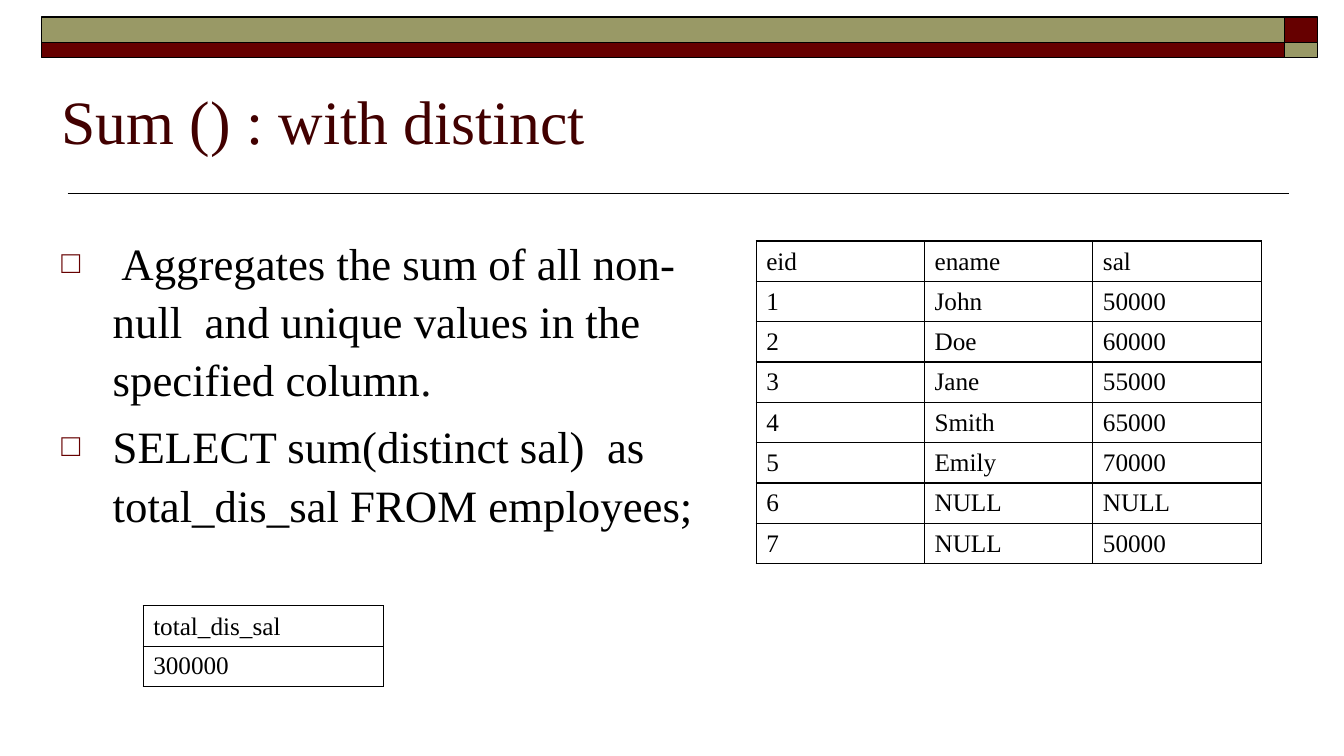
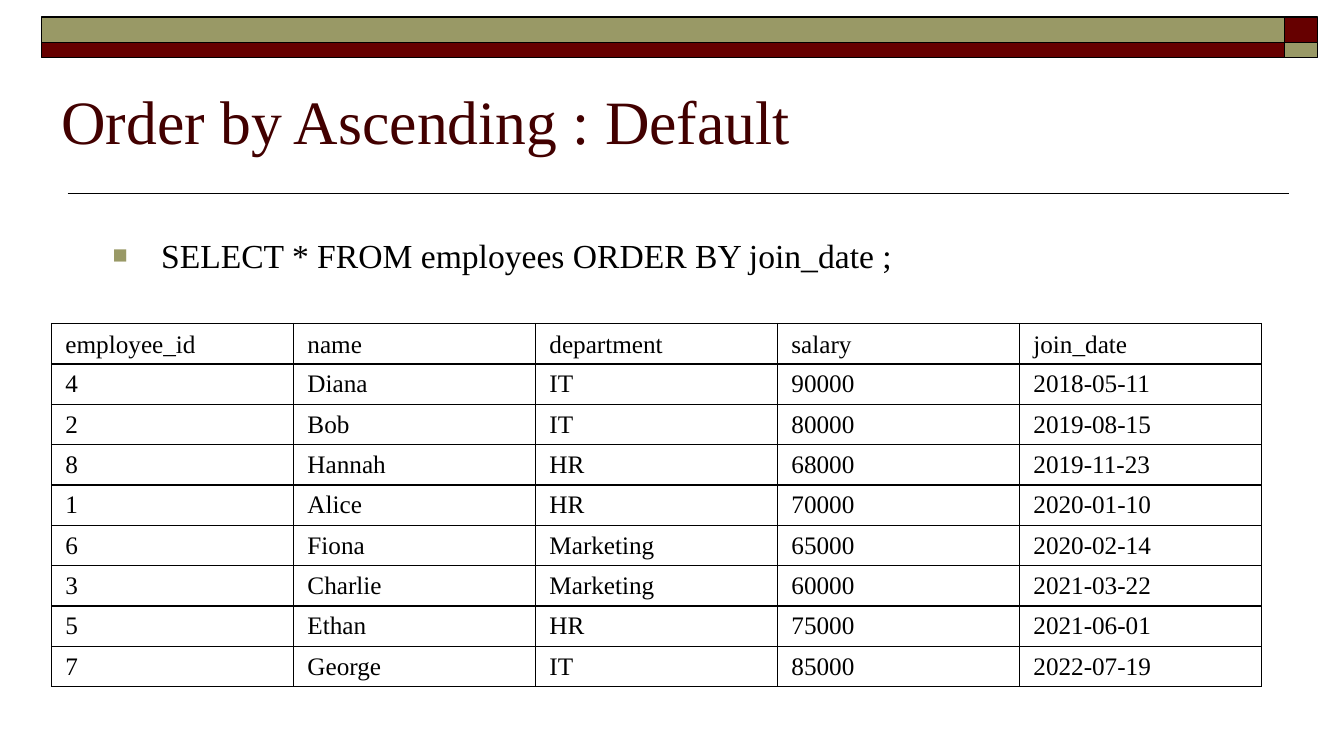
import pptx
import pptx.dml.color
import pptx.enum.shapes
import pptx.enum.text
import pptx.oxml
import pptx.oxml.ns
import pptx.util

Inches = pptx.util.Inches
Pt = pptx.util.Pt
ANCHOR = pptx.enum.text.MSO_ANCHOR
NAMESPACE = pptx.oxml.ns.nsdecls("a")


def color(hex_value):
    return pptx.dml.color.RGBColor.from_string(hex_value)


def element(xml):
    """Parse one drawing element whose tag lacks the namespace declaration."""
    tag, rest = xml[1:].split(" ", 1)
    return pptx.oxml.parse_xml(f"<{tag} {NAMESPACE} {rest}")


def write(paragraph, text, size=18, ink="000000", font="Times New Roman"):
    run = paragraph.add_run()
    run.text = text
    run.font.name = font
    run.font.size = Pt(size)
    run.font.color.rgb = color(ink)


class Deck:
    OLIVE, MAROON, TITLE, BLACK = "999966", "660000", "420000", "000000"
    LEFT, WIDTH = 0.51, 12
    ROW_HEIGHT = 0.37
    # Bullet levels: sign, colour, size in percent, text indent, hanging, points
    LEVELS = [("□", MAROON, 70, 0.51, 0.51, 32),
              ("■", OLIVE, 75, 0.99, 0.48, 24)]

    def __init__(self):
        self.prs = pptx.Presentation()
        self.prs.slide_width = Inches(13.33)
        self.prs.slide_height = Inches(7.5)
        self.slide = None

    def start_slide(self, title):
        self.slide = self.prs.slides.add_slide(self.prs.slide_layouts[6])
        self.rule(0.67, 12.78, 1.92)
        # Two-row band, with the colours swapped in the right corner
        for top, height, main, corner in ((0.17, 0.25, self.OLIVE, self.MAROON),
                                          (0.42, 0.15, self.MAROON, self.OLIVE)):
            self.block(0.41, top, 12.33, height, main)
            self.block(12.74, top, 0.33, height, corner)
        frame = self.text_frame(0.35, self.WIDTH, 1.25, ANCHOR.BOTTOM)
        write(frame.paragraphs[0], title, size=44, ink=self.TITLE)

    def rule(self, left, right, y):
        line = self.slide.shapes.add_connector(
            pptx.enum.shapes.MSO_CONNECTOR.STRAIGHT,
            Inches(left), Inches(y), Inches(right), Inches(y))
        line.line.color.rgb = color(self.BLACK)
        line.line.width = Pt(1)
        line._element.spPr.append(element("<a:effectLst />"))

    def block(self, left, top, width, height, fill):
        block = self.slide.shapes.add_shape(
            pptx.enum.shapes.MSO_SHAPE.RECTANGLE,
            Inches(left), Inches(top), Inches(width), Inches(height))
        block.shadow.inherit = False
        block.fill.solid()
        block.fill.fore_color.rgb = color(fill)
        block.line.color.rgb = color(self.BLACK)
        block.line.width = Pt(1)

    def text_frame(self, top, width, height, anchor=ANCHOR.TOP):
        frame = self.slide.shapes.add_textbox(
            Inches(self.LEFT), Inches(top), Inches(width), Inches(height)).text_frame
        frame.word_wrap = True
        frame.vertical_anchor = anchor
        return frame

    def bullets(self, items, width, level=0):
        """Each item is a list of (text, colour) runs."""
        sign, sign_ink, percent, indent, hanging, size = self.LEVELS[level]
        frame = self.text_frame(2.25, width, 4.57)
        for index, runs in enumerate(items):
            paragraph = frame.add_paragraph() if index else frame.paragraphs[0]
            props = paragraph._p.get_or_add_pPr()
            props.set("marL", str(Inches(indent)))
            props.set("indent", str(-Inches(hanging)))
            for xml in (f'<a:buClr ><a:srgbClr val="{sign_ink}"/></a:buClr>',
                        f'<a:buSzPct val="{percent * 1000}"/>',
                        '<a:buFont typeface="Times New Roman"/>',
                        f'<a:buChar char="{sign}"/>'):
                props.append(element(xml))
            paragraph.line_spacing = 1.08
            if index:
                paragraph.space_before = Pt(size * 0.2)
            for text, ink in runs:
                write(paragraph, text, size=size, ink=ink)

    def table(self, left, top, width, rows, side_margin=0.1):
        count = len(rows[0])
        table = self.slide.shapes.add_table(
            len(rows), count, Inches(left), Inches(top), Inches(width),
            Inches(self.ROW_HEIGHT * len(rows))).table
        table.first_row = table.horz_banding = False
        for column in table.columns:
            column.width = Inches(width / count)
        for row_index, values in enumerate(rows):
            table.rows[row_index].height = Inches(self.ROW_HEIGHT)
            for column_index, value in enumerate(values):
                cell = table.cell(row_index, column_index)
                cell.margin_left = cell.margin_right = Inches(side_margin)
                cell.vertical_anchor = ANCHOR.MIDDLE if row_index else ANCHOR.BOTTOM
                cell.fill.background()
                self.cell_borders(cell)
                write(cell.text_frame.paragraphs[0], value)

    def cell_borders(self, cell):
        props = cell._tc.get_or_add_tcPr()
        for index, side in enumerate("LRTB"):
            props.insert(index, element(
                f'<a:ln{side} w="{Pt(1)}"><a:solidFill><a:srgbClr val="{self.BLACK}"/>'
                f'</a:solidFill></a:ln{side}>'))


def main():
    deck = Deck()

    # Sum of distinct values
    deck.start_slide("Sum () : with distinct")
    deck.bullets([
        [(" Aggregates the sum of all non-null  and unique values in the "
          "specified column", deck.BLACK), (".", "0D0D0D")],
        [("SELECT sum(distinct sal)  as total_dis_sal FROM employees;", deck.BLACK)],
    ], width=6.73)
    deck.table(7.5, 2.39, 5.01, [
        ("eid", "ename", "sal"),
        ("1", "John", "50000"),
        ("2", "Doe", "60000"),
        ("3", "Jane", "55000"),
        ("4", "Smith", "65000"),
        ("5", "Emily", "70000"),
        ("6", "NULL", "NULL"),
        ("7", "NULL", "50000"),
    ])
    deck.table(1.42, 6.01, 2.38, [("total_dis_sal",), ("300000",)])

    # Ascending order
    deck.start_slide("Order by Ascending : Default")
    deck.bullets([[("SELECT * FROM employees ORDER BY join_date ;", deck.BLACK)]],
                 width=deck.WIDTH, level=1)
    deck.table(deck.LEFT, 3.21, deck.WIDTH, [
        ("employee_id", "name", "department", "salary", "join_date"),
        ("4", "Diana", "IT", "90000", "2018-05-11"),
        ("2", "Bob", "IT", "80000", "2019-08-15"),
        ("8", "Hannah", "HR", "68000", "2019-11-23"),
        ("1", "Alice", "HR", "70000", "2020-01-10"),
        ("6", "Fiona", "Marketing", "65000", "2020-02-14"),
        ("3", "Charlie", "Marketing", "60000", "2021-03-22"),
        ("5", "Ethan", "HR", "75000", "2021-06-01"),
        ("7", "George", "IT", "85000", "2022-07-19"),
    ], side_margin=0.14)

    deck.prs.save("out.pptx")


if __name__ == "__main__":
    main()
